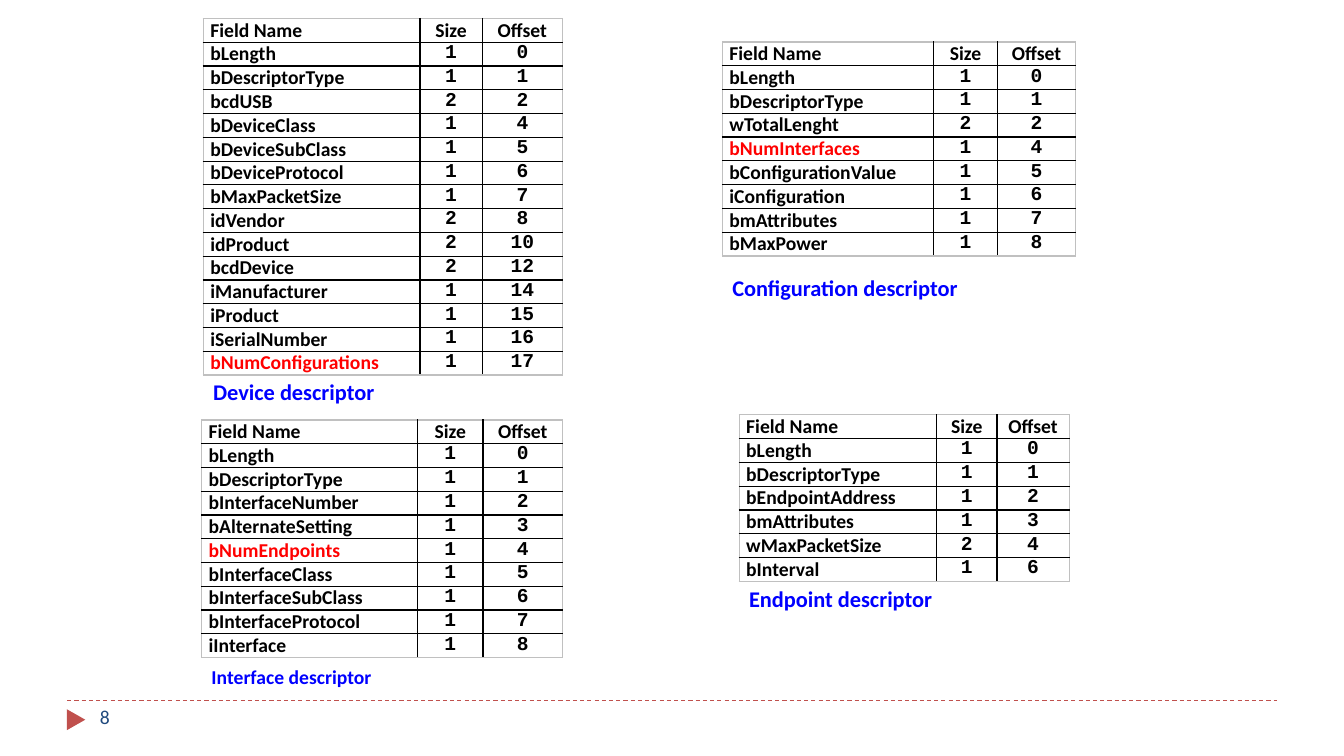
from itertools import accumulate

from pptx import Presentation
from pptx.dml.color import RGBColor
from pptx.enum.dml import MSO_LINE_DASH_STYLE as Dash
from pptx.enum.shapes import MSO_CONNECTOR as Connector, MSO_SHAPE as Shape
from pptx.enum.text import PP_ALIGN as Align
from pptx.oxml.ns import qn
from pptx.util import Inches, Pt
from lxml.etree import SubElement

COLORS = {"text": "000000", "key": "FF0000", "caption": "0000FF",
          "accent": "C0504D", "number": "1F497D", "edge": "C0C0C0"}
GRID_COLUMNS = 160
ROW_HEIGHT = Pt(17)
HEADER = ("Field Name", "Size", "Offset")
CELL_MARGINS = {"margin_left": Inches(0.07), "margin_right": Inches(0.07),
                "margin_top": 0, "margin_bottom": 0}

# Boxes and column widths are in grid units; caption drop is from the table's top.
# Each field is (name, size); offsets are the running total of the sizes.
DESCRIPTORS = [
    {"caption": "Interface descriptor", "caption_size": 14, "caption_drop": 28.6,
     "corner": (24, 50), "widths": (25.7, 7.8, 9.5), "key": "bNumEndpoints",
     "fields": [("bLength", 1), ("bDescriptorType", 1), ("bInterfaceNumber", 1),
                ("bAlternateSetting", 1), ("bNumEndpoints", 1),
                ("bInterfaceClass", 1), ("bInterfaceSubClass", 1),
                ("bInterfaceProtocol", 1), ("iInterface", 1)]},
    {"caption": "Endpoint descriptor", "caption_size": 16, "caption_drop": 19.7,
     "corner": (88, 49.4), "widths": (23.5, 7.2, 8.6), "key": None,
     "fields": [("bLength", 1), ("bDescriptorType", 1), ("bEndpointAddress", 1),
                ("bmAttributes", 1), ("wMaxPacketSize", 2), ("bInterval", 1)]},
    {"caption": "Configuration descriptor", "caption_size": 16, "caption_drop": 27,
     "corner": (86, 5), "widths": (25.1, 7.7, 9.2), "key": "bNumInterfaces",
     "fields": [("bLength", 1), ("bDescriptorType", 1), ("wTotalLenght", 2),
                ("bNumInterfaces", 1), ("bConfigurationValue", 1),
                ("iConfiguration", 1), ("bmAttributes", 1), ("bMaxPower", 1)]},
    {"caption": "Device descriptor", "caption_size": 16, "caption_drop": 42.2,
     "corner": (24.2, 2.2), "widths": (25.8, 7.4, 9.6), "key": "bNumConfigurations",
     "fields": [("bLength", 1), ("bDescriptorType", 1), ("bcdUSB", 2),
                ("bDeviceClass", 1), ("bDeviceSubClass", 1),
                ("bDeviceProtocol", 1), ("bMaxPacketSize", 1), ("idVendor", 2),
                ("idProduct", 2), ("bcdDevice", 2), ("iManufacturer", 1),
                ("iProduct", 1), ("iSerialNumber", 1), ("bNumConfigurations", 1)]},
]

deck = Presentation()
deck.slide_width, deck.slide_height = Inches(13.33), Inches(7.5)


def units(*counts):
    """Turn grid counts into slide lengths."""
    return [round(count * deck.slide_width / GRID_COLUMNS) for count in counts]


def color(name):
    return RGBColor.from_string(COLORS[name])


def write(frame, text, tint, size=14, font="Calibri", bold=True, align=Align.LEFT):
    para = frame.paragraphs[0]
    para.alignment = align
    span = para.add_run()
    span.text = text
    for name, value in {"size": Pt(size), "name": font, "bold": bold}.items():
        setattr(span.font, name, value)
    span.font.color.rgb = color(tint)


def add_label(page, box, text, **style):
    frame = page.shapes.add_textbox(*units(*box)).text_frame
    frame.word_wrap = True
    write(frame, text, **style)


def set_borders(cell, outer):
    """Rule all four sides, in the edge colour on those named in outer."""
    properties = cell._tc.get_or_add_tcPr()
    for side in "LRTB":
        line = SubElement(properties, qn(f"a:ln{side}"), w=str(Pt(1)))
        fill = SubElement(line, qn("a:solidFill"))
        SubElement(fill, qn("a:srgbClr"), val=COLORS["edge" if side in outer else "text"])


def add_descriptor(page, descriptor):
    left, top = descriptor["corner"]
    fields, widths = descriptor["fields"], descriptor["widths"]
    names, sizes = zip(*fields)
    offsets = accumulate(sizes[:-1], initial=0)
    rows = [HEADER, *zip(names, sizes, offsets)]
    last_row, last_column = len(rows) - 1, len(HEADER) - 1

    table = page.shapes.add_table(len(rows), len(HEADER), *units(left, top, sum(widths)),
                                  ROW_HEIGHT * len(rows)).table
    table.first_row = table.horz_banding = False
    for column, width in zip(table.columns, units(*widths)):
        column.width = width
    for r, values in enumerate(rows):
        table.rows[r].height = ROW_HEIGHT
        for c, value in enumerate(values):
            cell = table.cell(r, c)
            for name, margin in CELL_MARGINS.items():
                setattr(cell, name, margin)
            on_edge = {"L": c == 0, "R": c == last_column, "T": r == 0, "B": r == last_row}
            set_borders(cell, [side for side, outer in on_edge.items() if outer])
            cell.fill.background()
            write(cell.text_frame, str(value),
                  tint="key" if value == descriptor["key"] else "text",
                  font="Courier New" if r and c else "Calibri",
                  align=Align.CENTER if c else Align.LEFT)

    add_label(page, (left, top + descriptor["caption_drop"], 36.5, 4.4),
              descriptor["caption"], tint="caption", size=descriptor["caption_size"])


def add_footer(page, left, top, width, number):
    rule = page.shapes.add_connector(Connector.STRAIGHT,
                                     *units(left, top, left + width, top))
    rule.line.color.rgb = color("accent")
    rule.line.width = Pt(0.75)
    rule.line.dash_style = Dash.DASH
    SubElement(rule._element.spPr, qn("a:effectLst"))

    marker = page.shapes.add_shape(Shape.ISOSCELES_TRIANGLE,
                                   *units(left - 0.2, top + 1.2, 2.5, 2.2))
    marker.rotation = 90
    marker.shadow.inherit = False
    marker.fill.solid()
    marker.fill.fore_color.rgb = color("accent")
    marker.line.fill.background()
    add_label(page, (left + 2.7, top, 34.7, 4.8), number, tint="number", bold=False)


def main():
    blank_layout = deck.slide_layouts[6]
    page = deck.slides.add_slide(blank_layout)
    add_footer(page, left=8, top=83.4, width=144, number="8")
    for descriptor in DESCRIPTORS:
        add_descriptor(page, descriptor)
    deck.save("out.pptx")


if __name__ == "__main__":
    main()
